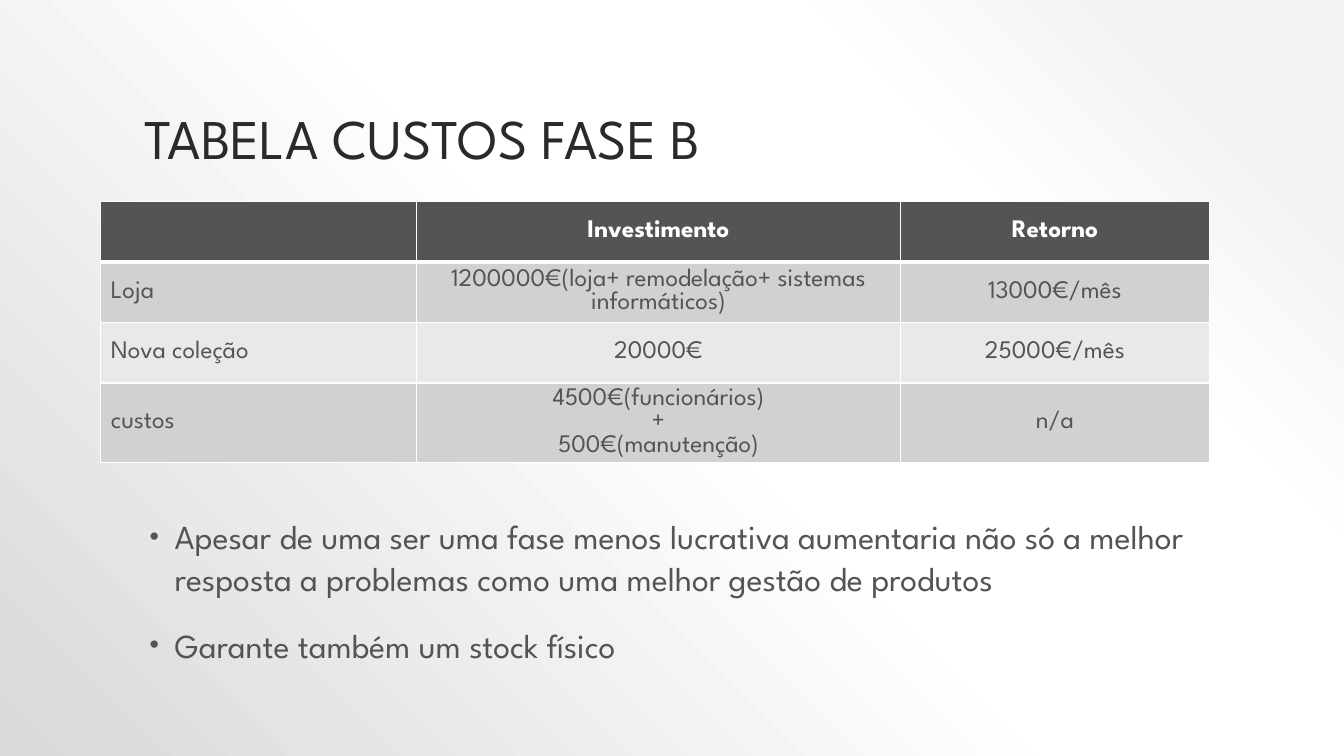
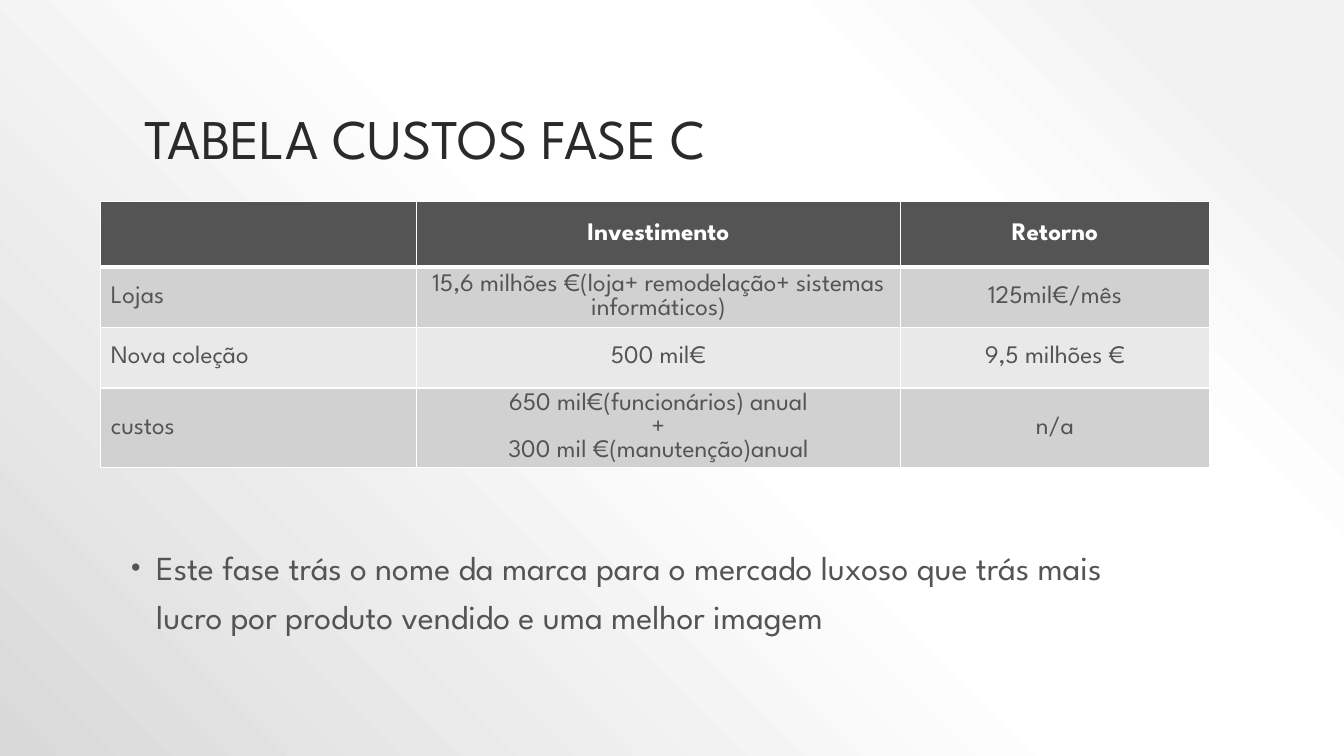
from pptx import Presentation as Deck
from pptx.dml.color import RGBColor as Color
from pptx.enum.text import MSO_ANCHOR as Anchor, MSO_AUTO_SIZE as Auto, PP_ALIGN as Align
from pptx.oxml import parse_xml as to_xml
from pptx.oxml.ns import nsdecls as names, qn
from pptx.util import Inches, Pt

COLS, ROWS = 40, 30
FACE = "League Spartan"
INK, GREY, WHITE = "2A2A2A", "545454", "FFFFFF"
BANDS = "D1D1D1", "E9E9E9"
GLOW = (10, "F2F2F2"), (28, WHITE), (48, WHITE), (100, "D9D9D9")
WIDTHS = 9.4, 14.4, 9.2


def hue(code):
    return Color.from_string(code)


def apply(item, form):
    for name, value in form.items():
        setattr(item, name, value)


def node(tag, body):
    return to_xml(f"<a:{tag} {names('a')}{body}")


class Style:
    def __init__(self):
        self.deck = Deck()
        apply(self.deck, {"slide_width": Inches(13.33), "slide_height": Inches(7.5)})
        self.glow()

    def glow(self):
        master = self.deck.slide_master
        master.background.fill.solid()
        stops = "".join(
            f'<a:gs pos="{spot * 1000}"><a:srgbClr val="{code}"/></a:gs>'
            for spot, code in GLOW
        )
        grad = node("gradFill", f' rotWithShape="1"><a:gsLst>{stops}</a:gsLst>'
                    '<a:path path="circle"><a:fillToRect l="100000" b="100000"/></a:path>'
                    '</a:gradFill>')
        base = master.element.find(".//" + qn("p:bgPr"))
        base.replace(base[0], grad)

    def box(self, left, top, wide, high):
        col, row = self.deck.slide_width / COLS, self.deck.slide_height / ROWS
        return [int(left * col), int(top * row), int(wide * col), int(high * row)]

    def place(self, item, area):
        apply(item, dict(zip(("left", "top", "width", "height"), self.box(*area))))

    def text(self, para, words, size, code, bold=False, **form):
        run = para.add_run()
        run.text = words
        apply(run.font, {"name": FACE, "size": Pt(size), "bold": bold})
        run.font.color.rgb = hue(code)
        apply(para, form)

    def page(self, title):
        self.slide = self.deck.slides.add_slide(self.deck.slide_layouts[1])
        head = self.slide.shapes.title
        self.place(head, (4, 1.2, 32, 5.8))
        apply(head.text_frame, {"vertical_anchor": Anchor.BOTTOM,
                                "auto_size": Auto.NONE, "word_wrap": True})
        self.text(head.text_frame.paragraphs[0], title, 40, INK,
                  alignment=Align.LEFT, line_spacing=0.9)

    def list(self, lines, area, anchor, gap):
        body = self.slide.placeholders[1]
        self.place(body, area)
        frame = body.text_frame
        apply(frame, {"vertical_anchor": anchor, "auto_size": Auto.NONE, "word_wrap": True})
        for spot, line in enumerate(lines):
            para = frame.add_paragraph() if spot else frame.paragraphs[0]
            self.text(para, line, 24, GREY, line_spacing=gap, space_before=Pt(18))
            props = para._p.get_or_add_pPr()
            props.set("marL", str(Inches(0.3)))
            props.set("indent", str(Inches(-0.25)))
            for tag, rest in (
                ("buClr", f'><a:srgbClr val="{GREY}"/></a:buClr>'),
                ("buSzPct", ' val="80000"/>'),
                ("buFont", ' typeface="Arial"/>'),
                ("buChar", ' char="•"/>'),
            ):
                props.append(node(tag, rest))

    def edge(self, cell, row):
        wide = {"T": 3 if row == 1 else 1, "B": 1 if row else 3}
        props = cell._tc.get_or_add_tcPr()
        for spot, side in enumerate("LRTB"):
            props.insert(spot, node(
                "ln" + side, f' w="{Pt(wide.get(side, 1))}"><a:solidFill>'
                f'<a:srgbClr val="{WHITE}"/></a:solidFill></a:ln{side}>'))

    def table(self, rows, head):
        highs = [head] + [2.4] * (len(rows) - 1)
        area = self.box(3, 8, sum(WIDTHS), sum(highs))
        grid = self.slide.shapes.add_table(len(rows), len(WIDTHS), *area).table
        for col, wide in zip(grid.columns, WIDTHS):
            col.width = self.box(0, 0, wide, 0)[2]
        for row, high in zip(grid.rows, highs):
            row.height = self.box(0, 0, 0, high)[3]
        for row, texts in enumerate(rows):
            for col, words in enumerate(texts):
                self.cell(grid.cell(row, col), words, row, col)

    def cell(self, cell, words, row, col):
        cell.vertical_anchor = Anchor.MIDDLE
        cell.fill.solid()
        cell.fill.fore_color.rgb = hue(BANDS[(row - 1) % 2] if row else GREY)
        self.edge(cell, row)
        frame = cell.text_frame
        for spot, line in enumerate(words.split("\n")):
            para = frame.add_paragraph() if spot else frame.paragraphs[0]
            self.text(para, line, 18, GREY if row else WHITE, not row,
                      alignment=Align.CENTER if col else Align.LEFT)


HEAD = "", "Investimento", "Retorno"
PAGES = [
    {
        "title": "TABELA CUSTOS FASE B",
        "rows": [
            HEAD,
            ("Loja", "1200000€(loja+ remodelação+ sistemas informáticos)", "13000€/mês"),
            ("Nova coleção", "20000€", "25000€/mês"),
            ("custos", "4500€(funcionários)\n+\n500€(manutenção)", "n/a"),
        ],
        "head": 2.4,
        "list": (
            ["Apesar de uma ser uma fase menos lucrativa aumentaria não só a melhor "
             "resposta a problemas como uma melhor gestão de produtos",
             "Garante também um stock físico"],
            (4, 20.24, 32, 6.76), Anchor.TOP, 1.03,
        ),
    },
    {
        "title": "TABELA CUSTOS FASE C",
        "rows": [
            HEAD,
            ("Lojas", "15,6 milhões €(loja+ remodelação+ sistemas informáticos)",
             "125mil€/mês"),
            ("Nova coleção", "500 mil€", "9,5 milhões €"),
            ("custos", "650 mil€(funcionários) anual\n+\n300 mil €(manutenção)anual", "n/a"),
        ],
        "head": 2.6,
        "list": (
            ["Este fase trás o nome da marca para o mercado luxoso que trás mais "
             "lucro por produto vendido e uma melhor imagem"],
            (3.45, 19.64, 31.17, 7.36), Anchor.MIDDLE, 1.2,
        ),
    },
]


def main():
    style = Style()
    for page in PAGES:
        style.page(page["title"])
        style.list(*page["list"])
        style.table(page["rows"], page["head"])
    style.deck.save("out.pptx")


if __name__ == "__main__":
    main()
